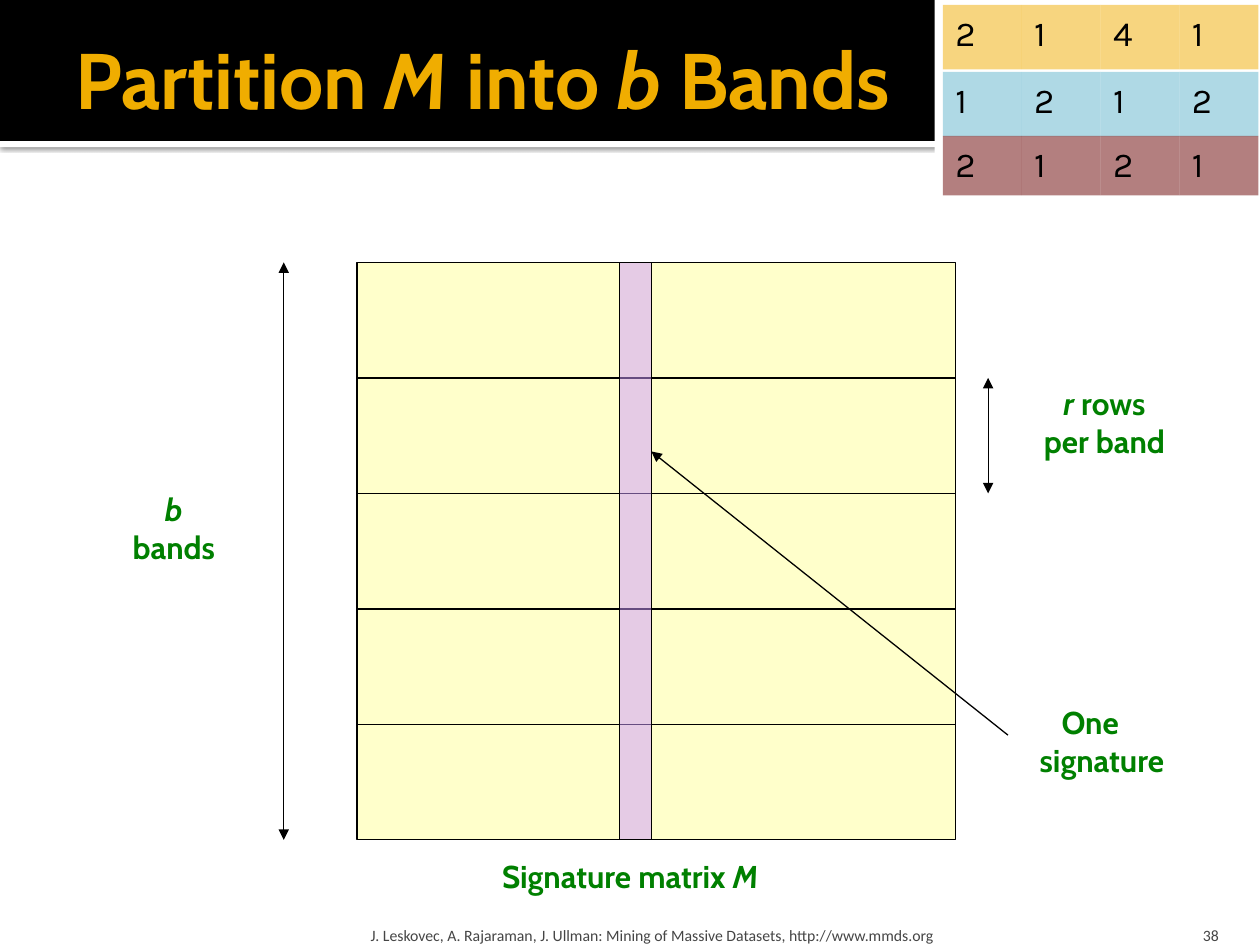
from lxml import etree
from pptx import Presentation
from pptx import util as u
from pptx.dml.color import RGBColor
from pptx.enum import shapes, text
from pptx.oxml import ns

CM, PT = u.Cm, u.Pt
LEFT, CENTER, RIGHT = (text.PP_ALIGN.LEFT, text.PP_ALIGN.CENTER, text.PP_ALIGN.RIGHT)
TOP, MIDDLE, BOTTOM = (text.MSO_ANCHOR.TOP, text.MSO_ANCHOR.MIDDLE, text.MSO_ANCHOR.BOTTOM)
LABEL = dict(size=18, name="Cabin", color="008000", bold=True)


def rgb(value):
    return RGBColor.from_string(value)


def add_xml(parent, tag, **attrs):
    el = etree.SubElement(parent, ns.qn(tag))
    for key, value in attrs.items():
        el.set(key, str(value))
    return el


def add_rect(parent, x, y, w, h, fill, alpha=None, line=None):
    sp = parent.add_shape(shapes.MSO_SHAPE.RECTANGLE, CM(x), CM(y), CM(w), CM(h))
    sp.shadow.inherit = False
    sp.fill.solid()
    sp.fill.fore_color.rgb = rgb(fill)
    if alpha:
        clr = sp._element.spPr.find(ns.qn("a:solidFill"))[0]
        add_xml(clr, "a:alpha", val=alpha * 1000)
    if line:
        sp.line.color.rgb = rgb(line)
        sp.line.width = PT(0.75)
    else:
        sp.line.fill.background()
    return sp


def add_line(parent, x1, y1, x2, y2, head=False, tail=False):
    sp = parent.add_connector(shapes.MSO_CONNECTOR.STRAIGHT, CM(x1), CM(y1), CM(x2), CM(y2))
    sp.line.color.rgb = rgb("000000")
    sp.line.width = PT(0.75)
    ln = sp.line._get_or_add_ln()
    for tag, wanted in (("a:headEnd", head), ("a:tailEnd", tail)):
        if wanted:
            add_xml(ln, tag, type="triangle")
    add_xml(sp._element.spPr, "a:effectLst")


def write(sp, paragraphs, size, name, color, bold=False, align=LEFT, anchor=TOP,
          margins=(0.25, 0.13, 0.25, 0.13), wrap=True):
    tf = sp.text_frame
    tf.word_wrap = wrap
    tf.vertical_anchor = anchor
    tf.margin_left, tf.margin_top, tf.margin_right, tf.margin_bottom = map(CM, margins)
    for i, runs in enumerate(paragraphs):
        p = tf.add_paragraph() if i else tf.paragraphs[0]
        p.alignment = align
        p.font.size, p.font.name, p.font.bold = PT(size), name, bold
        p.font.color.rgb = rgb(color)
        for words, italic in runs:
            r = p.add_run()
            r.text = words
            if italic:
                r.font.italic = True
    return tf


def add_text(parent, x, y, w, h, paragraphs, **style):
    sp = parent.add_textbox(CM(x), CM(y), CM(w), CM(h))
    return write(sp, paragraphs, **style)


def add_header(parent, x, y, w, h):
    strip = add_rect(parent, x, y + h, w, 0.13, "FFFFFF")
    shadow = add_xml(strip._element.spPr.find(ns.qn("a:effectLst")), "a:outerShdw",
                     blurRad=PT(2.5), dist=PT(0.8), dir=5400000, rotWithShape=0)
    add_xml(add_xml(shadow, "a:srgbClr", val="000000"), "a:alpha", val=60000)
    add_rect(parent, x, y, w, h, "000000")
    title = [("Partition ", False), ("M", True), (" into ", False), ("b", True),
             (" Bands", False)]
    add_text(parent, x + 1.27, y + 0.2, w - 2.54, 2.74, [title], size=45, name="Cabin",
             color="F0AD00", bold=True, anchor=MIDDLE, margins=(0.25, 0.13, 0.13, 0.13))


def add_footer(parent, x, y, w, h):
    style = dict(size=9, name="Calibri", color="454545", anchor=BOTTOM)
    credit = "J. Leskovec, A. Rajaraman, J. Ullman: Mining of Massive Datasets, http://www.mmds.org"
    add_text(parent, x, y, 15.29, h, [[(credit, False)]],
             margins=(0.13, 0.13, 0.13, 0), **style)
    add_text(parent, x + w - 2.03, y, 2.03, h, [[("38", False)]], align=RIGHT,
             margins=(0.25, 0.13, 0.25, 0), **style)


def add_band_matrix(parent, x, y, w, h, bands=5):
    band = h / bands
    right, bottom = x + w, y + h
    add_rect(parent, x, y, w, h, "FFFF99", 50, "000000")
    for i in range(1, bands):
        add_line(parent, x, y + i * band, right, y + i * band)
    add_text(parent, x + 2.52, bottom + 0.21, 5.97, 1.02,
             [[("Signature matrix ", False), ("M", True)]],
             align=CENTER, wrap=False, **LABEL)
    add_text(parent, right + 1.53, y + band, 2.95, 1.8,
             [[("r", True), (" rows", False)], [("per band", False)]],
             align=CENTER, wrap=False, **LABEL)
    add_line(parent, right + 0.66, y + band, right + 0.66, y + 2 * band, True, True)
    add_line(parent, x - 1.48, y, x - 1.48, bottom, True, True)
    add_text(parent, x - 5.08, y + 4.46, 2.77, 1.8, [[("b", True)], [("bands", False)]],
             align=CENTER, wrap=False, **LABEL)
    column_x, column_w = x + 5.29, 0.64
    add_rect(parent, column_x, y, column_w, h, "CC99FF", 50, "000000")
    add_line(parent, right + 1.06, y + 9.53, column_x + column_w, y + 3.81, tail=True)
    tf = add_text(parent, right + 1.45, y + 8.76, 3.1, 1.78,
                  [[("One", False)], [("signature", False)]], wrap=False, **LABEL)
    tf.paragraphs[0]._p.get_or_add_pPr().set("marL", str(CM(0.44)))


def add_number_grid(parent, x, y, w, h):
    add_rect(parent, x, y, w, h, "FFFFFF")
    cell_w = 1.59
    rows = [(0.1, 1.3, "F0AD00", "2141"),
            (1.45, 1.3, "60B5CC", "1212"),
            (2.74, 1.2, "680000", "2121")]
    for top, cell_h, fill, digits in rows:
        group = parent.add_group_shape().shapes
        for i, digit in enumerate(digits):
            sp = add_rect(group, x + 0.17 + i * cell_w, y + top, cell_w, cell_h, fill, 50)
            write(sp, [[(digit, False)]], size=20, name="Karla", color="000000")


def main():
    prs = Presentation()
    prs.slide_width, prs.slide_height = CM(25.4), CM(19.05)
    s = prs.slides.add_slide(prs.slide_layouts[6]).shapes
    add_header(s, 0, 0, 25.4, 2.84)
    add_footer(s, 7.34, 18.29, 17.48, 0.76)
    add_band_matrix(s, 7.2, 5.29, 12.06, 11.64)
    add_number_grid(s, 18.84, 0, 6.56, 4.02)
    prs.save("out.pptx")


if __name__ == "__main__":
    main()
